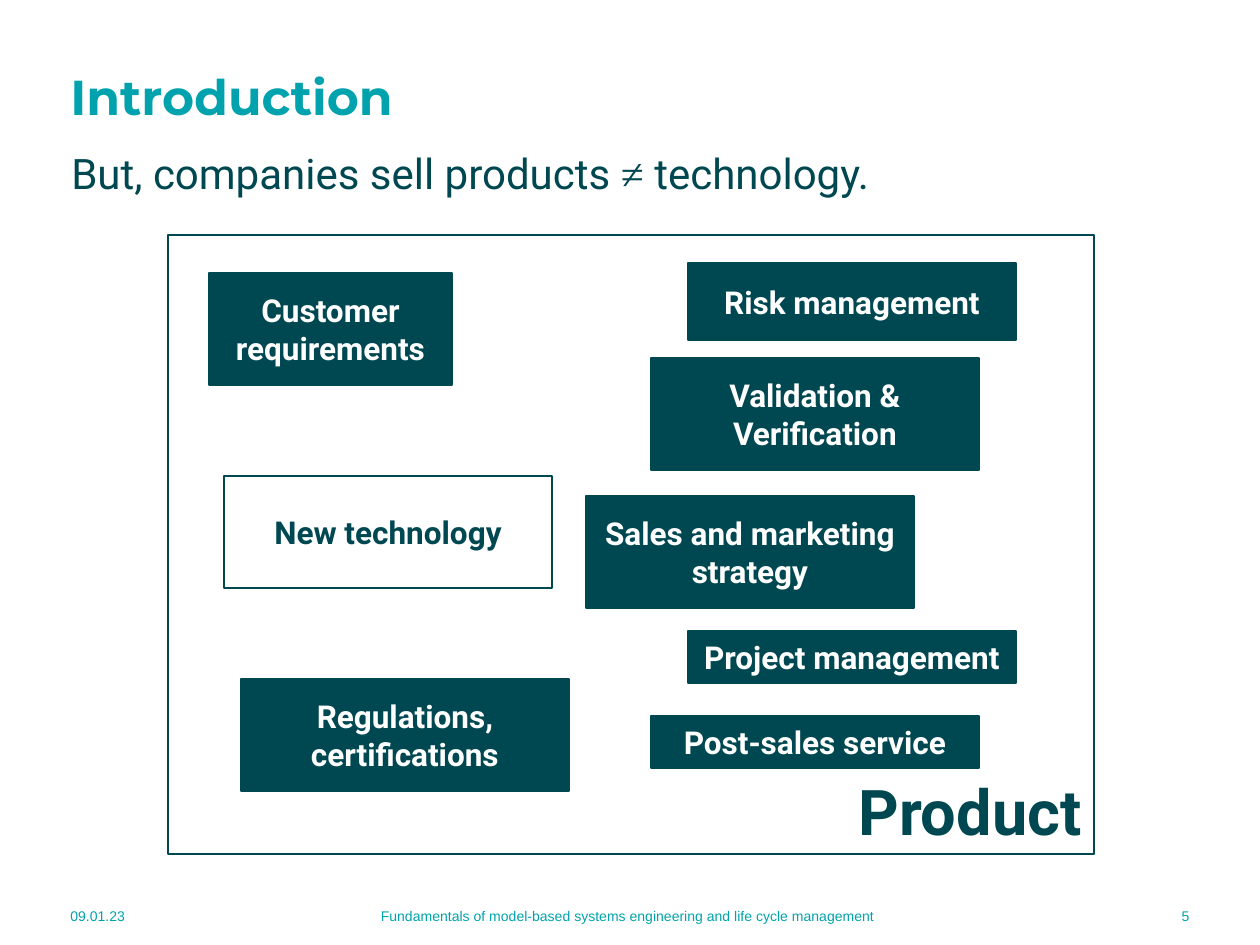
from dataclasses import dataclass

from pptx import Presentation
from pptx.dml.color import RGBColor
from pptx.enum.shapes import MSO_SHAPE as Preset
from pptx.enum.text import MSO_ANCHOR as Anchor, PP_ALIGN as Align
from pptx.util import Emu, Pt

PX = 914400 / 126


@dataclass(frozen=True)
class Theme:
    accent: str = "00A3AD"
    dark: str = "004851"
    light: str = "FFFFFF"
    heading_font: str = "Montserrat"
    body_font: str = "Roboto"
    symbol_font: str = "Times New Roman"
    footer_font: str = "Arial"
    title_size: int = 28
    statement_size: int = 24
    product_size: int = 36
    box_size: int = 18
    footer_size: int = 8
    line_width: float = 0.75


class SlideBuilder:
    def __init__(self, slide, theme):
        self.slide = slide
        self.theme = theme

    def add_runs(self, shape, runs, size, color, align, anchor, bold=False):
        """Fill a shape with one paragraph of (text, font name) runs."""
        frame = shape.text_frame
        frame.word_wrap = True
        frame.vertical_anchor = anchor
        paragraph = frame.paragraphs[0]
        paragraph.alignment = align
        for text, font_name in runs:
            run = paragraph.add_run()
            run.text = text
            run.font.name = font_name
            run.font.size = Pt(size)
            run.font.bold = bold
            run.font.color.rgb = RGBColor.from_string(color)

    def text(self, area, runs, size, color, align=Align.LEFT,
             anchor=Anchor.MIDDLE, bold=False):
        shape = self.slide.shapes.add_textbox(*(Emu(round(v * PX)) for v in area))
        self.add_runs(shape, runs, size, color, align, anchor, bold)

    def box(self, area, label, filled=True, size=None,
            align=Align.CENTER, anchor=Anchor.MIDDLE):
        theme = self.theme
        shape = self.slide.shapes.add_shape(
            Preset.RECTANGLE, *(Emu(round(v * PX)) for v in area))
        shape.shadow.inherit = False
        shape.line.color.rgb = RGBColor.from_string(theme.dark)
        shape.line.width = Pt(theme.line_width)
        if filled:
            shape.fill.solid()
            shape.fill.fore_color.rgb = RGBColor.from_string(theme.dark)
        else:
            shape.fill.background()
        self.add_runs(shape, [(label, theme.body_font)], size or theme.box_size,
                      theme.light if filled else theme.dark, align, anchor, bold=True)


def main():
    presentation = Presentation()
    presentation.slide_width = Emu(round(1260 * PX))
    presentation.slide_height = Emu(round(945 * PX))
    theme = Theme()
    slide = presentation.slides.add_slide(presentation.slide_layouts[6])
    builder = SlideBuilder(slide, theme)

    # Footer
    for left, width, text, align in (
        (58, 163, "09.01.23", Align.LEFT),
        (299, 658, "Fundamentals of model-based systems engineering "
                   "and life cycle management", Align.CENTER),
        (1048, 154, "5", Align.RIGHT),
    ):
        builder.text((left, 891, width, 50), [(text, theme.footer_font)],
                     theme.footer_size, theme.accent, align)

    # Title and statement
    builder.text((58, 66, 1056, 59), [("Introduction", theme.heading_font)],
                 theme.title_size, theme.accent, bold=True)
    builder.text((59, 141, 1144, 663),
                 [("But, companies sell products ", theme.body_font),
                  ("≠ ", theme.symbol_font),
                  ("technology.", theme.body_font)],
                 theme.statement_size, theme.dark, anchor=Anchor.TOP)

    # Technology inside the product frame
    wide, tall, medium, short = 328, 112, 77, 52
    builder.box((224, 476, wide, tall), "New technology", filled=False)
    builder.box((168, 235, 926, 619), "Product", filled=False,
                size=theme.product_size, align=Align.RIGHT, anchor=Anchor.BOTTOM)

    # Everything else a product needs
    for left, top, width, height, label in (
        (209, 273, 243, tall, "Customer requirements"),
        (651, 358, wide, tall, "Validation & Verification"),
        (241, 679, wide, tall, "Regulations, certifications"),
        (688, 263, wide, medium, "Risk management"),
        (586, 496, wide, tall, "Sales and marketing strategy"),
        (688, 631, wide, short, "Project management"),
        (651, 716, wide, short, "Post-sales service"),
    ):
        builder.box((left, top, width, height), label)

    presentation.save("out.pptx")


if __name__ == "__main__":
    main()
